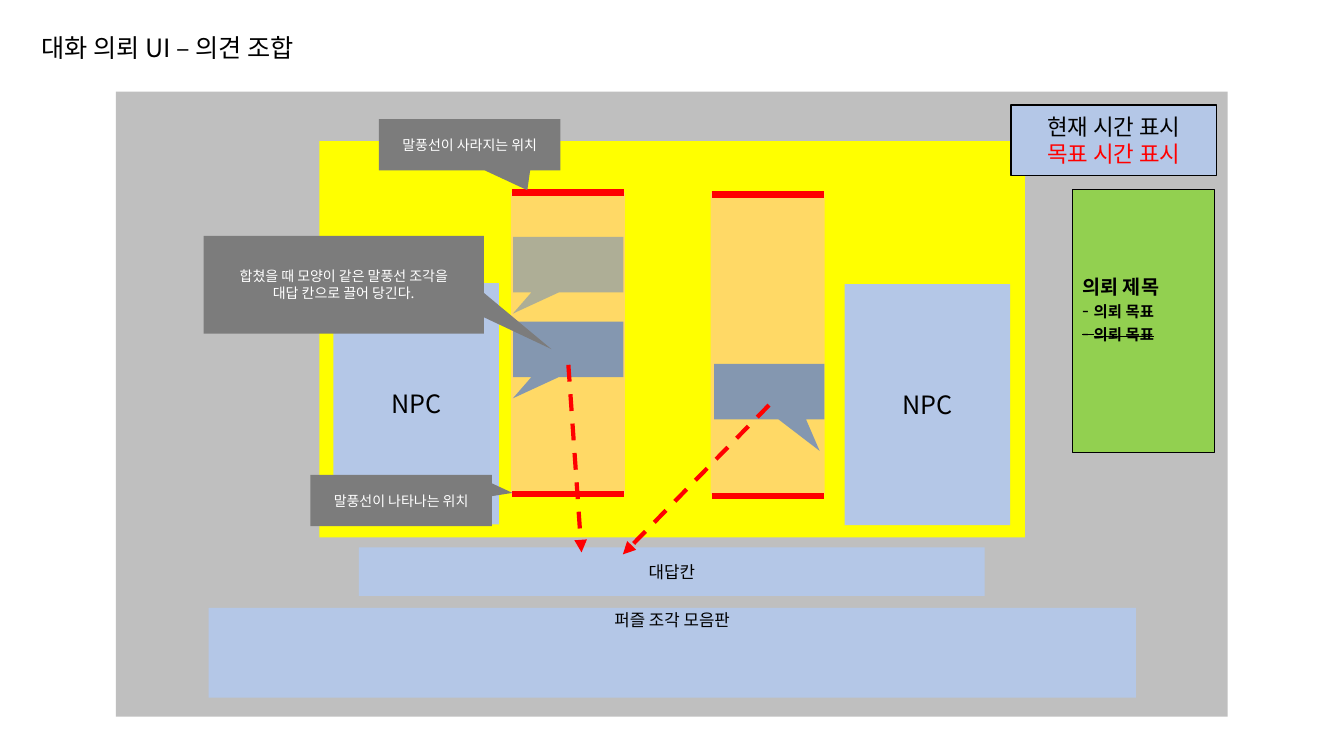
from pptx import Presentation
from pptx.dml.color import RGBColor
from pptx.enum.dml import MSO_LINE
from pptx.enum.shapes import MSO_CONNECTOR, MSO_SHAPE
from pptx.enum.text import MSO_ANCHOR, PP_ALIGN
from pptx.oxml.ns import qn
from pptx.util import Pt
from lxml.etree import SubElement

FACE = "Noto Sans CJK KR"
BLACK, WHITE, RED = "000000", "FFFFFF", "FF0000"
GRAY, DARK, BLUE, SLATE = "BFBFBF", "7C7C7C", "B4C7E7", "8497B0"
GREEN, YELLOW, SAND = "92D050", "FFFF00", "FFD966"


def color(fmt, tone):
    fmt.rgb = RGBColor.from_string(tone)


def style(obj, form):
    for key, val in form.items():
        setattr(obj, key, val)


def write(para, text, size, tone=BLACK, bold=False, strike=False):
    run = para.add_run()
    run.text = text
    style(run.font, {"name": FACE, "size": Pt(size), "bold": bold})
    color(run.font.color, tone)
    props = run.font._element
    SubElement(props, qn("a:ea")).set("typeface", FACE)
    if strike:
        props.set("strike", "sngStrike")


def fill_text(frame, lines, size, tone=BLACK):
    """Write centred lines; a line is a string or a (string, colour) pair."""
    for i, line in enumerate(lines):
        para = frame.add_paragraph() if i else frame.paragraphs[0]
        para.alignment = PP_ALIGN.CENTER
        text, hue = line if isinstance(line, tuple) else (line, tone)
        write(para, text, size, hue)


def block(slide, box, fill, edge=None, kind=MSO_SHAPE.RECTANGLE, tip=None):
    shape = slide.shapes.add_shape(kind, *map(Pt, box))
    shape.shadow.inherit = False
    shape.fill.solid()
    color(shape.fill.fore_color, fill)
    if edge:
        color(shape.line.color, edge)
        shape.line.width = Pt(1)
    else:
        shape.line.fill.background()
    for i, val in enumerate(tip or ()):
        shape.adjustments[i] = val
    style(shape.text_frame, {"word_wrap": True, "vertical_anchor": MSO_ANCHOR.MIDDLE})
    return shape


def stroke(slide, ends, width, arrow=False):
    line = slide.shapes.add_connector(MSO_CONNECTOR.STRAIGHT, *map(Pt, ends))
    color(line.line.color, RED)
    line.line.width = Pt(width)
    if arrow:
        line.line.dash_style = MSO_LINE.DASH
        SubElement(line.line._get_or_add_ln(), qn("a:tailEnd")).set("type", "triangle")
    SubElement(line._element.spPr, qn("a:effectLst"))


def title(slide, box):
    frame = slide.shapes.add_textbox(*map(Pt, box)).text_frame
    frame.word_wrap = False
    write(frame.paragraphs[0], "대화 의뢰 UI – 의견 조합", 18)


def label(slide, box, lines, size, edge=None):
    shape = block(slide, box, BLUE, edge)
    fill_text(shape.text_frame, lines, size)
    return shape


def quest(slide, box):
    frame = block(slide, box, GREEN, BLACK).text_frame
    frame.margin_bottom = Pt(20)
    head = frame.paragraphs[0]
    head.alignment = PP_ALIGN.LEFT
    write(head, "의뢰 제목", 14, bold=True)
    for done in (False, True):
        para = frame.add_paragraph()
        style(para, {"alignment": PP_ALIGN.LEFT, "line_spacing": Pt(16.6)})
        write(para, "- ", 14, strike=done)
        write(para, "의뢰 목표", 11, bold=True, strike=done)


def lane(slide, box, drop):
    """A track for bubbles, with a red bar at each end."""
    x, y, w, h = box
    block(slide, box, SAND)
    for bar in (y + drop, y + drop + h):
        stroke(slide, (x + 0.7, bar, x + w - 0.7, bar), 4.5)


def bubble(slide, x, y, tip, alpha=None):
    shape = block(slide, (x, y, 78.8, 39.6), SLATE, None,
                  MSO_SHAPE.RECTANGULAR_CALLOUT, tip)
    if alpha:
        tone = shape.fill._xPr.find(qn("a:solidFill"))[0]
        SubElement(tone, qn("a:alpha")).set("val", str(alpha * 1000))


def note(slide, box, tip, lines):
    shape = block(slide, box, DARK, None, MSO_SHAPE.RECTANGULAR_CALLOUT, tip)
    fill_text(shape.text_frame, lines, 10, WHITE)


def talk(slide, box):
    """Conversation area: two speakers, two lanes and their bubbles."""
    x, y, w, h = box
    for left, top in ((x + 10, y + 101.5), (x + 375.2, y + 102.2)):
        label(slide, (left, top, 118.2, 172.2), ["NPC"], 18)
    near, far, top = x + 136.8, x + 279.4, y + 36.7
    lane(slide, (far, top, 81.4, 215.3), 1.4)
    lane(slide, (near, top, 81.4, 215.3), 0)
    bubble(slide, far + 2.5, y + 159.1, (0.457, 1.07))
    for rise, alpha in ((128.9, None), (68.4, 65)):
        bubble(slide, near + 1.5, y + rise, (-0.502, 0.885), alpha)
    stroke(slide, (x + 177.8, y + 159.8, x + 187.2, y + 293.8), 3, True)
    stroke(slide, (x + 321.1, y + 188.6, x + 216.7, y + 295.2), 3, True)


def notes(slide, x, y):
    note(slide, (x + 42.5, y - 15.8, 129.6, 36.7), (0.318, 0.885),
         ["말풍선이 사라지는 위치"])
    note(slide, (x - 6.5, y + 238.3, 129.6, 36.7), (0.614, -0.147),
         ["말풍선이 나타나는 위치"])
    note(slide, (x - 82.8, y + 67.7, 200.2, 69.8), (0.741, 0.659),
         ["합쳤을 때 모양이 같은 말풍선 조각을", "대답 칸으로 끌어 당긴다."])


def screen(slide, box):
    x, y, w, h = box
    block(slide, box, GRAY)
    quest(slide, (x + 683.3, y + 69.9, 101.5, 187.9))
    area = (x + 145.4, y + 35.3, 504, 283)
    block(slide, area, YELLOW)
    # Clock
    label(slide, (x + 639.4, y + 9.4, 146.9, 50.4),
          ["현재 시간 표시", ("목표 시간 표시", RED)], 16, BLACK)
    # Puzzle tray and answer slot
    tray = label(slide, (x + 66.2, y + 368.7, 662.4, 64.1), ["퍼즐 조각 모음판"], 12)
    style(tray.text_frame, {"vertical_anchor": MSO_ANCHOR.TOP, "margin_top": Pt(1.5)})
    label(slide, (x + 173.5, y + 325.5, 447.1, 34.6), ["대답칸"], 12)
    talk(slide, area)
    notes(slide, *area[:2])


def main():
    deck = Presentation()
    style(deck, {"slide_width": Pt(960), "slide_height": Pt(540)})
    slide = deck.slides.add_slide(deck.slide_layouts[6])
    title(slide, (22.3, 19.4, 218.9, 28.8))
    screen(slide, (82.8, 65.5, 794.2, 446.4))
    deck.save("out.pptx")


if __name__ == "__main__":
    main()
